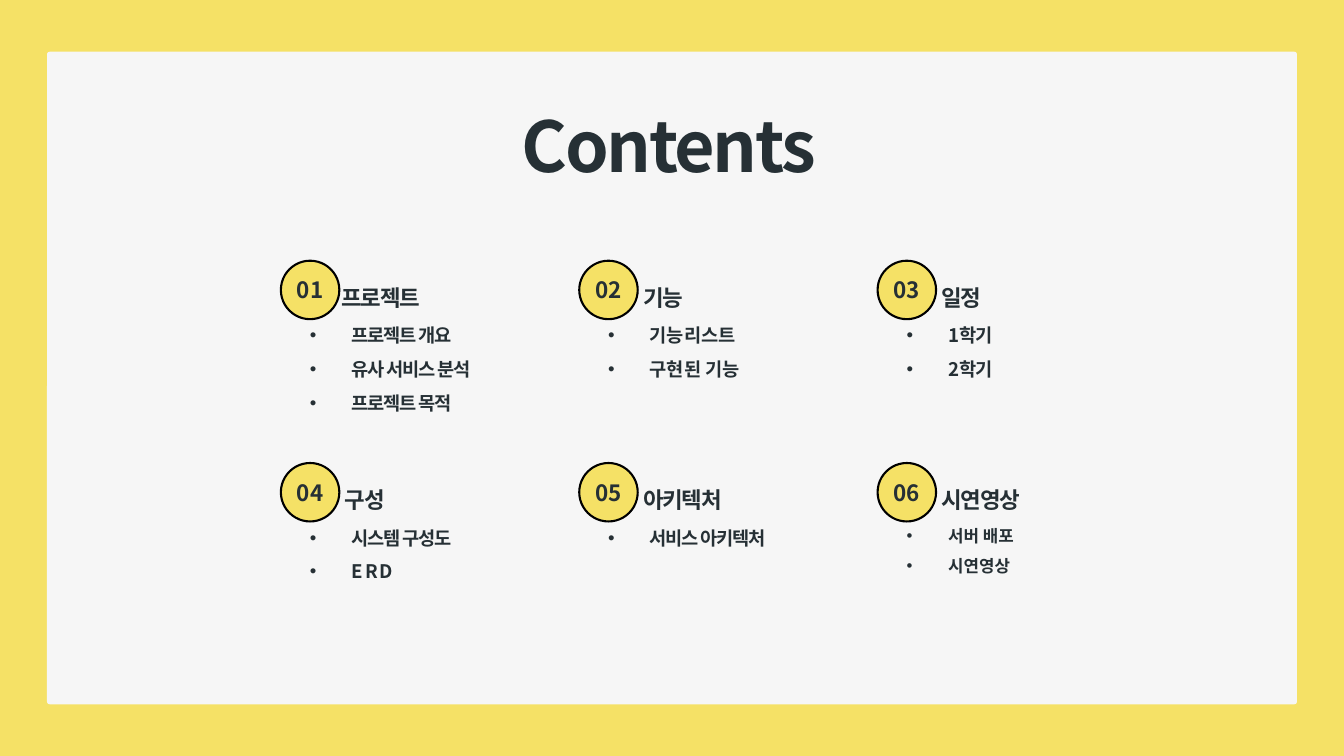
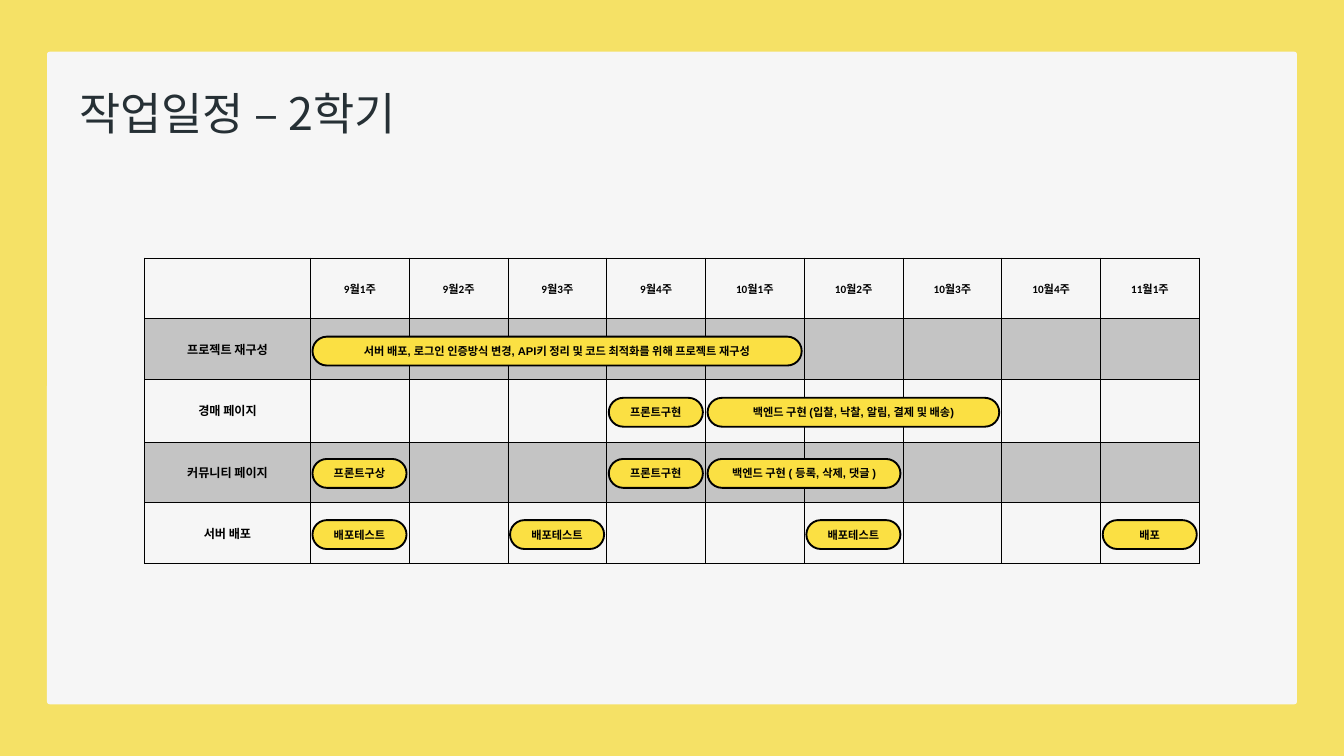
from lxml import etree
from pptx import Presentation
from pptx import util as u
from pptx.dml.color import RGBColor
from pptx.enum import shapes, text
from pptx.oxml import parse_xml
from pptx.oxml.ns import nsdecls, qn

YELLOW = RGBColor(0xF5, 0xE1, 0x66)
BAR = RGBColor(0xFB, 0xE0, 0x43)
PANEL = RGBColor(0xF6, 0xF6, 0xF6)
INK = RGBColor(0x26, 0x30, 0x35)
BLACK = RGBColor(0, 0, 0)
NOTO = "Noto Sans CJK KR"
MIDDLE, CENTER = text.MSO_ANCHOR.MIDDLE, text.PP_ALIGN.CENTER
LN = ('<a:{tag} {ns} w="{w}"><a:solidFill><a:srgbClr val="000000">'
      '<a:alpha val="{alpha}"/></a:srgbClr></a:solidFill></a:{tag}>')


def write(tf, lines, size, font=NOTO, color=INK, bold=True, align=None, anchor=None,
          inset=0, leading=None, spacing=0, bullet=False, outline=True):
    """Fill a text frame; a line is a string or a list of (text, size) runs."""
    tf.word_wrap = True
    tf.margin_left = tf.margin_right = u.Inches(inset)
    tf.margin_top = tf.margin_bottom = u.Inches(inset / 2)
    if anchor is not None:
        tf.vertical_anchor = anchor
    for i, line in enumerate(lines):
        p = tf.paragraphs[0] if i == 0 else tf.add_paragraph()
        if bullet:
            pPr = p._p.get_or_add_pPr()
            pPr.set("marL", str(u.Inches(0.62)))
            pPr.set("indent", str(u.Inches(-0.62)))
            etree.SubElement(pPr, qn("a:buFont")).set("typeface", "Arial")
            etree.SubElement(pPr, qn("a:buChar")).set("char", "•")
        p.alignment = align
        if leading:
            p.line_spacing = leading
        for words, pt in [(line, size)] if isinstance(line, str) else line:
            r = p.add_run()
            r.text = words
            r.font.size, r.font.name, r.font.bold = u.Pt(pt), font, bold
            r.font.color.rgb = color
            rPr = r._r.get_or_add_rPr()
            ea = etree.Element(qn("a:ea"), typeface=NOTO)
            rPr.find(qn("a:latin")).addnext(ea)
            if spacing:
                rPr.set("spc", str(round(spacing * 100)))
            if outline:
                rPr.insert(0, parse_xml(LN.format(
                    tag="ln", ns=nsdecls("a"), w=u.Pt(0.75), alpha=20000)))


def add_box(s, kind, x, y, w, h, fill=None, line=None):
    """Add a preset shape, or a text box when kind is None."""
    place = [u.Inches(v) for v in (x, y, w, h)]
    if kind is None:
        return s.shapes.add_textbox(*place)
    sp = s.shapes.add_shape(kind, *place)
    sp.shadow.inherit = False
    sp.fill.solid()
    sp.fill.fore_color.rgb = fill
    if line:
        sp.line.color.rgb, sp.line.width = BLACK, u.Pt(line)
    else:
        sp.line.fill.background()
    return sp


prs = Presentation()
prs.slide_width, prs.slide_height = u.Inches(20), u.Inches(11.25)
OVAL, ROUND = shapes.MSO_SHAPE.OVAL, shapes.MSO_SHAPE.ROUNDED_RECTANGLE

# Shared yellow frame and light panel
prs.slide_master.background.fill.solid()
prs.slide_master.background.fill.fore_color.rgb = YELLOW
contents, schedule = [prs.slides.add_slide(prs.slide_layouts[6]) for _ in range(2)]
for s in (contents, schedule):
    panel = add_box(s, ROUND, 0.7, 0.77, 18.6, 9.71, PANEL)
    panel.adjustments[0] = 0.004

# Contents: title
sp = add_box(contents, None, 7.01, 1.54, 5.89, 1.28)
write(sp.text_frame, ["Contents"], 75, align=CENTER, leading=u.Pt(89.2),
      spacing=-2.7, outline=False)

# Contents: three columns by two rows of heading, bullets, size and letter spacing
sections = [
    ("프로젝트", ["프로젝트 개요", "유사 서비스 분석", "프로젝트 목적"], 20, -1.3),
    ("기능", ["기능리스트", "구현된 기능"], 20, 0),
    ("일정", ["1학기", "2학기"], 20, -1.3),
    ("구성", ["시스템 구성도",
            [("E", 20), (" ", 10), ("R", 20), (" ", 10), ("D", 20)]], 20, -1.3),
    ("아키텍처", ["서비스 아키텍처"], 20, -1.3),
    ("시연영상", ["서버 배포", "시연영상"], 18, 0),
]
for i, (heading, items, size, spacing) in enumerate(sections):
    row, col = divmod(i, 3)
    x, y = 4.18 + 4.44 * col, 3.88 + 3.01 * row
    sp = add_box(contents, OVAL, x, y, 0.87, 0.87, YELLOW, 2.25)
    write(sp.text_frame, [f"{i + 1:02}"], 24, align=CENTER, anchor=MIDDLE)
    sp = add_box(contents, None, x + (0.95 if i else 0.9), y + 0.17, 2.54, 0.51)
    write(sp.text_frame, [heading], 24, leading=u.Pt(41.7), spacing=-1.3)
    sp = add_box(contents, None, x + 0.43, y + 0.78, 2.9, 0.48 * len(items))
    write(sp.text_frame, items, size, leading=1.5, spacing=spacing,
          bullet=True, outline=i == 0)

# Schedule: title
sp = add_box(schedule, None, 1.08, 1.23, 8.58, 0.91)
write(sp.text_frame, ["작업일정 – 2학기"], 48, bold=False, inset=0.1)

# Schedule: table of tasks by week
LEFT, TOP, TASK_W, WEEK_W = 2.15, 3.84, 2.47, 1.47
weeks = ["9월1주", "9월2주", "9월3주", "9월4주", "10월1주", "10월2주", "10월3주",
         "10월4주", "11월1주"]
tasks = ["프로젝트 재구성", "경매 페이지", "커뮤니티 페이지", "서버 배포"]
heights = [0.9, 0.9, 0.94, 0.9, 0.9]
frame = schedule.shapes.add_table(
    len(heights), len(weeks) + 1, u.Inches(LEFT), u.Inches(TOP),
    u.Inches(TASK_W + WEEK_W * len(weeks)), u.Inches(sum(heights)))
table = frame.table
table.first_row = table.horz_banding = False
for i, col in enumerate(table.columns):
    col.width = u.Inches(WEEK_W if i else TASK_W)
for row, h in zip(table.rows, heights):
    row.height = u.Inches(h)
for r in range(len(heights)):
    for c in range(len(weeks) + 1):
        cell = table.cell(r, c)
        if r % 2:
            cell.fill.solid()
            cell.fill.fore_color.rgb = BLACK
        else:
            cell.fill.background()
        tcPr = cell._tc.get_or_add_tcPr()
        for clr in tcPr.iter(qn("a:srgbClr")):
            etree.SubElement(clr, qn("a:alpha")).set("val", "20000")
        for i, tag in enumerate(("lnL", "lnR", "lnT", "lnB")):
            tcPr.insert(i, parse_xml(LN.format(
                tag=tag, ns=nsdecls("a"), w=u.Pt(1), alpha=100000)))
        if r == 0 and c:
            label, size, font = weeks[c - 1], 12, "Calibri"
        elif r and c == 0:
            label, size, font = tasks[r - 1], 13, "Arial"
        else:
            continue
        write(cell.text_frame, [label], size, font, BLACK, align=CENTER, inset=0.01)
        cell.vertical_anchor = MIDDLE

# Schedule: bars as task row, first week, number of weeks, label
bars = [
    (0, 0, 5, "서버 배포, 로그인 인증방식 변경, API키 정리 및 코드 최적화를 위해 프로젝트 재구성"),
    (1, 4, 3, "백엔드 구현 (입찰, 낙찰, 알림, 결제 및 배송)"),
    (2, 4, 2, "백엔드 구현 ( 등록, 삭제, 댓글 )"),
    (3, 0, 1, "배포테스트"),
    (3, 2, 1, "배포테스트"),
    (3, 5, 1, "배포테스트"),
    (2, 0, 1, "프론트구상"),
    (1, 3, 1, "프론트구현"),
    (2, 3, 1, "프론트구현"),
    (3, 8, 1, "배포"),
]
for task, week, span, label in bars:
    x = LEFT + TASK_W + 0.03 + WEEK_W * week
    sp = add_box(schedule, ROUND, x, 5.01 + 0.91 * task, WEEK_W * span - 0.07, 0.43,
                 BAR, 2)
    sp.adjustments[0] = 0.5
    write(sp.text_frame, [label], 12, "Arial", BLACK, align=CENTER, anchor=MIDDLE,
          inset=0.1)

prs.save("out.pptx")
